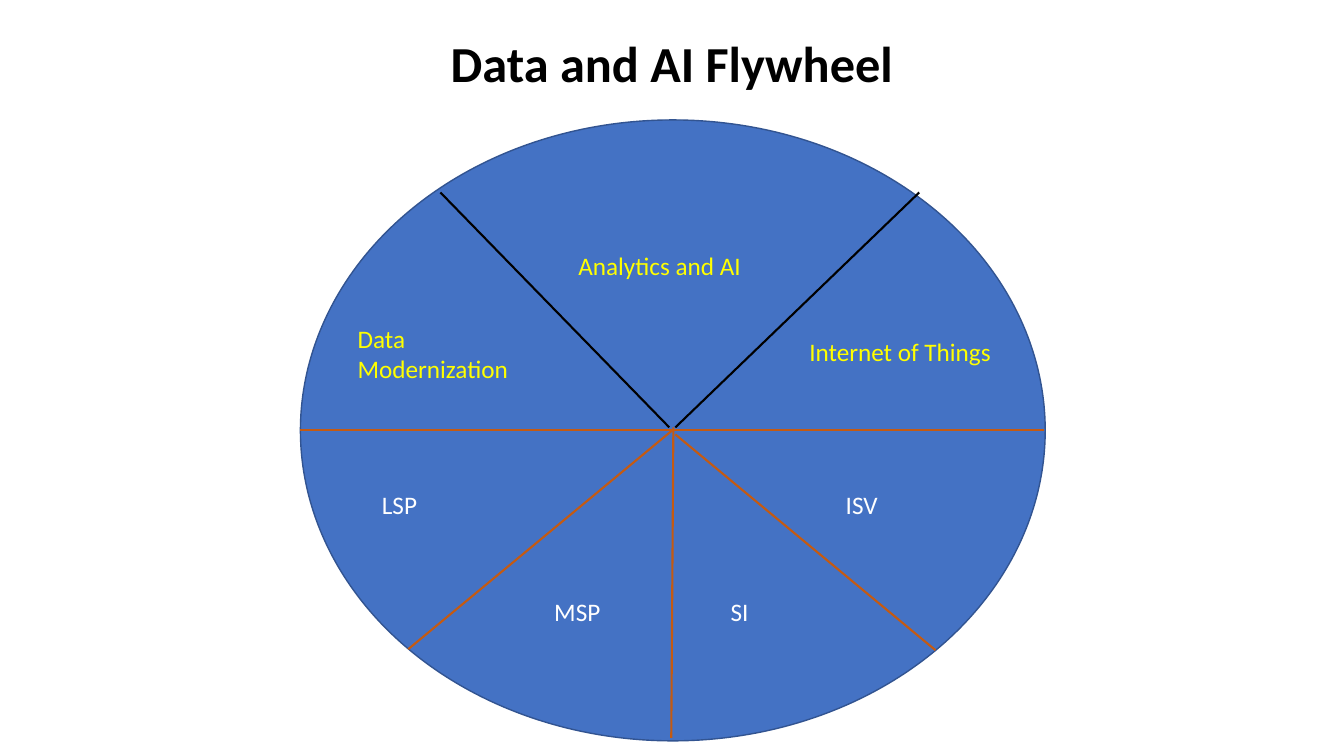
from lxml import etree
from pptx import Presentation
from pptx.dml.color import RGBColor
from pptx.enum import shapes, text
from pptx.oxml import ns
from pptx.util import Pt

BLUE = RGBColor(0x44, 0x72, 0xC4)
DARK_BLUE = RGBColor(0x32, 0x54, 0x91)
ORANGE = RGBColor(0xC5, 0x5A, 0x11)
YELLOW = RGBColor(0xFF, 0xFF, 0x00)
WHITE = RGBColor(0xFF, 0xFF, 0xFF)
BLACK = RGBColor(0x00, 0x00, 0x00)

SOLUTIONS = [
    ("Data Modernization", 248.4, 227.5, 134.6, 51),
    ("Analytics and AI", 406, 175, 143.3, 29),
    ("Internet of Things", 571, 237, 144, 51),
]
PARTNERS = [
    ("LSP", 265.7, 345.6, 98, 29),
    ("MSP", 388.8, 422.6, 98, 29),
    ("SI", 514.8, 422.6, 98, 29),
    ("ISV", 597, 345.6, 98, 51),
]
PARTNER_SPOKES = [
    (746, 307.4, 214.6, 307.4),
    (668.2, 464.4, 482.4, 310.3),
    (481, 305.3, 479.5, 527),
    (480.2, 307.4, 291.6, 463.7),
]
SOLUTION_SPOKES = [
    (482.4, 305.3, 656.6, 137.5),
    (478.1, 305.3, 314.6, 137.5),
]


def format_text(frame, content, size, color, bold=False):
    frame.text = content
    frame.word_wrap = True
    frame.vertical_anchor = text.MSO_ANCHOR.TOP
    font = frame.paragraphs[0].runs[0].font
    font.name = "Calibri"
    font.size = Pt(size)
    font.bold = bold
    font.color.rgb = color


def set_title(slide, content):
    title = slide.shapes.title
    title.left, title.top, title.width, title.height = Pt(151), Pt(19.4), Pt(658), Pt(51)
    format_text(title.text_frame, content, 36, BLACK, bold=True)
    title.text_frame.paragraphs[0].alignment = text.PP_ALIGN.CENTER


def add_wheel(slide, left, top, width, height):
    wheel = slide.shapes.add_shape(
        shapes.MSO_SHAPE.OVAL, Pt(left), Pt(top), Pt(width), Pt(height))
    wheel.shadow.inherit = False
    wheel.fill.solid()
    wheel.fill.fore_color.rgb = BLUE
    wheel.line.color.rgb = DARK_BLUE
    wheel.line.width = Pt(1)


def add_spoke(slide, ends, color):
    spoke = slide.shapes.add_connector(
        shapes.MSO_CONNECTOR.STRAIGHT, *(Pt(value) for value in ends))
    spoke.line.color.rgb = color
    spoke.line.width = Pt(1.5)
    etree.SubElement(spoke._element.spPr, ns.qn("a:effectLst"))


def add_label(slide, content, left, top, width, height, color):
    label = slide.shapes.add_textbox(Pt(left), Pt(top), Pt(width), Pt(height))
    format_text(label.text_frame, content, 18, color)


def main():
    deck = Presentation()
    deck.slide_width, deck.slide_height = Pt(960), Pt(540)
    slide = deck.slides.add_slide(deck.slide_layouts[5])
    set_title(slide, "Data and AI Flywheel")
    add_wheel(slide, 214.6, 85.7, 532, 443.5)
    for spokes, color in ((PARTNER_SPOKES, ORANGE), (SOLUTION_SPOKES, BLACK)):
        for ends in spokes:
            add_spoke(slide, ends, color)
    for labels, color in ((SOLUTIONS, YELLOW), (PARTNERS, WHITE)):
        for label in labels:
            add_label(slide, *label, color)
    deck.save("out.pptx")


if __name__ == "__main__":
    main()
